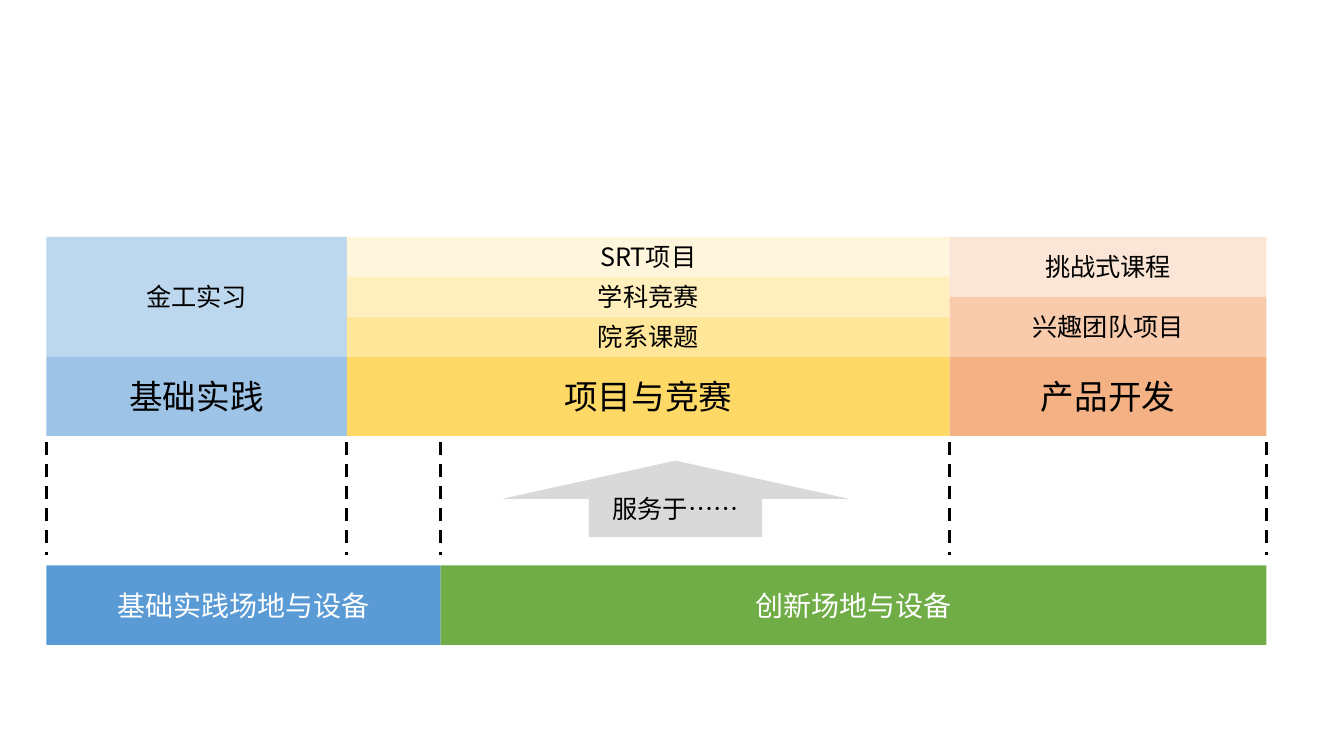
from lxml import etree
from pptx import Presentation
from pptx.dml.color import RGBColor
from pptx.enum.dml import MSO_LINE
from pptx.enum.shapes import MSO_CONNECTOR, MSO_SHAPE
from pptx.enum.text import MSO_ANCHOR, PP_ALIGN
from pptx.oxml.ns import qn
from pptx.util import Inches, Pt

RECTANGLE = MSO_SHAPE.RECTANGLE
UP_ARROW = MSO_SHAPE.UP_ARROW
STRAIGHT = MSO_CONNECTOR.STRAIGHT
DASH = MSO_LINE.DASH
MIDDLE = MSO_ANCHOR.MIDDLE
CENTER = PP_ALIGN.CENTER

BLACK = RGBColor(0x00, 0x00, 0x00)
WHITE = RGBColor(0xFF, 0xFF, 0xFF)
GRAY = RGBColor(0xD9, 0xD9, 0xD9)
BLUE = RGBColor(0x5B, 0x9B, 0xD5)
GREEN = RGBColor(0x70, 0xAD, 0x47)
BLUE_MEDIUM = RGBColor(0x9D, 0xC3, 0xE6)
BLUE_LIGHT = RGBColor(0xBD, 0xD7, 0xEE)
GOLD = RGBColor(0xFF, 0xD9, 0x66)
GOLD_MEDIUM = RGBColor(0xFF, 0xE6, 0x99)
GOLD_LIGHT = RGBColor(0xFF, 0xEF, 0xBD)
GOLD_PALE = RGBColor(0xFF, 0xF6, 0xDD)
ORANGE = RGBColor(0xF4, 0xB1, 0x83)
ORANGE_LIGHT = RGBColor(0xF8, 0xCB, 0xAD)
ORANGE_PALE = RGBColor(0xFB, 0xE5, 0xD6)

LEFT, BASIC_END, BASE_SPLIT, PROJECT_END, RIGHT = 0, 29.8, 39.1, 89.6, 121
TOPIC_ROWS, BAR_ROWS = 3, 2
GUIDE_TOP, GUIDE_BOTTOM, BASE_TOP = 5.16, 8, 8.25

STAGES = [
    (LEFT, BASIC_END, "基础实践", BLUE_MEDIUM, [("金工实习", BLUE_LIGHT)]),
    (BASIC_END, PROJECT_END, "项目与竞赛", GOLD,
     [("SRT项目", GOLD_PALE), ("学科竞赛", GOLD_LIGHT), ("院系课题", GOLD_MEDIUM)]),
    (PROJECT_END, RIGHT, "产品开发", ORANGE,
     [("挑战式课程", ORANGE_PALE), ("兴趣团队项目", ORANGE_LIGHT)]),
]
FACILITIES = [
    (LEFT, BASE_SPLIT, "基础实践场地与设备", BLUE),
    (BASE_SPLIT, RIGHT, "创新场地与设备", GREEN),
]


class PracticeDiagram:
    """Draws labelled blocks and dashed guides on a grid of columns and rows."""

    font_name = "Noto Sans CJK SC"
    origin_x, origin_y = 0.46, 2.35
    column, row = 0.1, 0.395

    def __init__(self, slide):
        self.slide = slide

    def x(self, columns):
        return Inches(self.origin_x + columns * self.column)

    def y(self, rows):
        return Inches(self.origin_y + rows * self.row)

    def block(self, start, end, top, rows, text, fill, size=18, color=BLACK, kind=RECTANGLE):
        left, upper = self.x(start), self.y(top)
        shape = self.slide.shapes.add_shape(
            kind, left, upper, self.x(end) - left, self.y(top + rows) - upper)
        shape.shadow.inherit = False
        shape.fill.solid()
        shape.fill.fore_color.rgb = fill
        shape.line.fill.background()
        shape.text_frame.text = text
        shape.text_frame.vertical_anchor = MIDDLE
        paragraph = shape.text_frame.paragraphs[0]
        paragraph.alignment = CENTER
        font = paragraph.runs[0].font
        font.name = self.font_name
        font.size = Pt(size)
        font.color.rgb = color
        properties = paragraph.runs[0]._r.get_or_add_rPr()
        etree.SubElement(properties, qn("a:ea"), typeface=self.font_name)

    def guide(self, column):
        connector = self.slide.shapes.add_connector(
            STRAIGHT, self.x(column), self.y(GUIDE_TOP), self.x(column), self.y(GUIDE_BOTTOM))
        connector.line.color.rgb = BLACK
        connector.line.width = Pt(2.25)
        connector.line.dash_style = DASH
        etree.SubElement(connector._element.spPr, qn("a:effectLst"))


def main():
    presentation = Presentation()
    presentation.slide_width = Inches(13.33)
    presentation.slide_height = Inches(7.5)
    slide = presentation.slides.add_slide(presentation.slide_layouts[6])
    diagram = PracticeDiagram(slide)

    for start, end, text, fill in FACILITIES:
        diagram.block(start, end, BASE_TOP, BAR_ROWS, text, fill, 20, WHITE)

    for start, end, stage, fill, topics in STAGES:
        diagram.block(start, end, TOPIC_ROWS, BAR_ROWS, stage, fill, 24)
        rows = TOPIC_ROWS / len(topics)
        for index, (topic, topic_fill) in enumerate(topics):
            diagram.block(start, end, index * rows, rows, topic, topic_fill)

    for column in (LEFT, BASIC_END, BASE_SPLIT, PROJECT_END, RIGHT):
        diagram.guide(column)
    diagram.block(45.2, 79.6, 5.62, 1.92, "服务于……", GRAY, kind=UP_ARROW)

    presentation.save("out.pptx")


if __name__ == "__main__":
    main()
